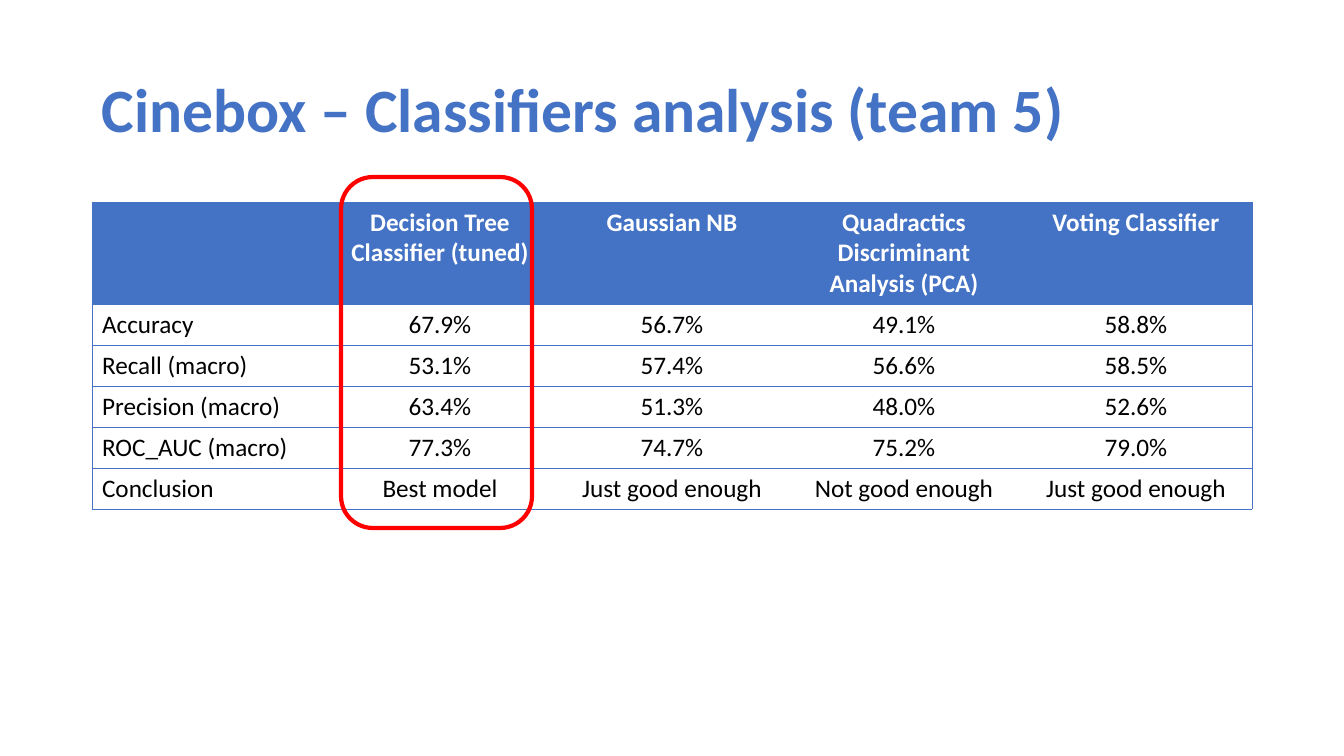
from lxml.etree import SubElement
from pptx import Presentation
from pptx.dml.color import RGBColor
from pptx.enum.shapes import MSO_SHAPE as SHAPE
from pptx.enum.text import MSO_ANCHOR as ANCHOR, PP_ALIGN as ALIGN
from pptx.oxml.ns import qn
from pptx.util import Pt

PX = 914400 / 100.8
BLUE = RGBColor(0x44, 0x72, 0xC4)
RED = RGBColor(0xFF, 0, 0)
WHITE = RGBColor(0xFF, 0xFF, 0xFF)
BLACK = RGBColor(0, 0, 0)
FONT = "Calibri"

RESULTS = [
    ["", "Decision Tree Classifier (tuned)", "Gaussian NB",
     "Quadractics Discriminant Analysis (PCA)", "Voting Classifier"],
    ["Accuracy", "67.9%", "56.7%", "49.1%", "58.8%"],
    ["Recall (macro)", "53.1%", "57.4%", "56.6%", "58.5%"],
    ["Precision (macro)", "63.4%", "51.3%", "48.0%", "52.6%"],
    ["ROC_AUC (macro)", "77.3%", "74.7%", "75.2%", "79.0%"],
    ["Conclusion", "Best model", "Just good enough", "Not good enough", "Just good enough"],
]
COL_WIDTH, HEADER_HEIGHT, ROW_HEIGHT = 232, 102, 41


def px(*lengths):
    return [round(length * PX) for length in lengths]


def style_text(paragraph, size, color, bold):
    font = paragraph.font
    font.name, font.size, font.bold = FONT, Pt(size), bold
    font.color.rgb = color


prs = Presentation()
prs.slide_width, prs.slide_height = px(1344, 756)
slide = prs.slides.add_slide(prs.slide_layouts[6])

title = slide.shapes.add_textbox(*px(92, 40, 1159, 146)).text_frame
title.word_wrap = True
title.vertical_anchor = ANCHOR.MIDDLE
heading = title.paragraphs[0]
heading.text = "Cinebox – Classifiers analysis (team 5)"
heading.line_spacing = 0.9
style_text(heading, 44, BLUE, True)

last = len(RESULTS[0]) - 1
table_height = HEADER_HEIGHT + ROW_HEIGHT * (len(RESULTS) - 1)
scores = slide.shapes.add_table(
    len(RESULTS), last + 1, *px(92, 202, COL_WIDTH * (last + 1), table_height)).table
for column in scores.columns:
    column.width = px(COL_WIDTH)[0]

for r, row in enumerate(RESULTS):
    scores.rows[r].height = px(ROW_HEIGHT if r else HEADER_HEIGHT)[0]
    for c, entry in enumerate(row):
        cell = scores.cell(r, c)
        label = cell.text_frame.paragraphs[0]
        label.text = entry
        label.alignment = ALIGN.CENTER if c else ALIGN.LEFT
        style_text(label, 18, BLACK if r else WHITE, r == 0)

        sides = {"lnL": c == 0, "lnR": c == last, "lnT": True, "lnB": True}
        for side, visible in sides.items():
            border = SubElement(cell._tc.get_or_add_tcPr(), qn("a:" + side), w=str(Pt(0.5)))
            if visible:
                SubElement(SubElement(border, qn("a:solidFill")), qn("a:srgbClr"), val=str(BLUE))
            else:
                SubElement(border, qn("a:noFill"))
        if r == 0:
            cell.fill.solid()
            cell.fill.fore_color.rgb = BLUE
        else:
            cell.fill.background()

best_model = slide.shapes.add_shape(SHAPE.ROUNDED_RECTANGLE, *px(341, 177, 191, 351))
best_model.shadow.inherit = False
best_model.fill.background()
best_model.line.color.rgb = RED
best_model.line.width = Pt(3)

prs.save("out.pptx")
